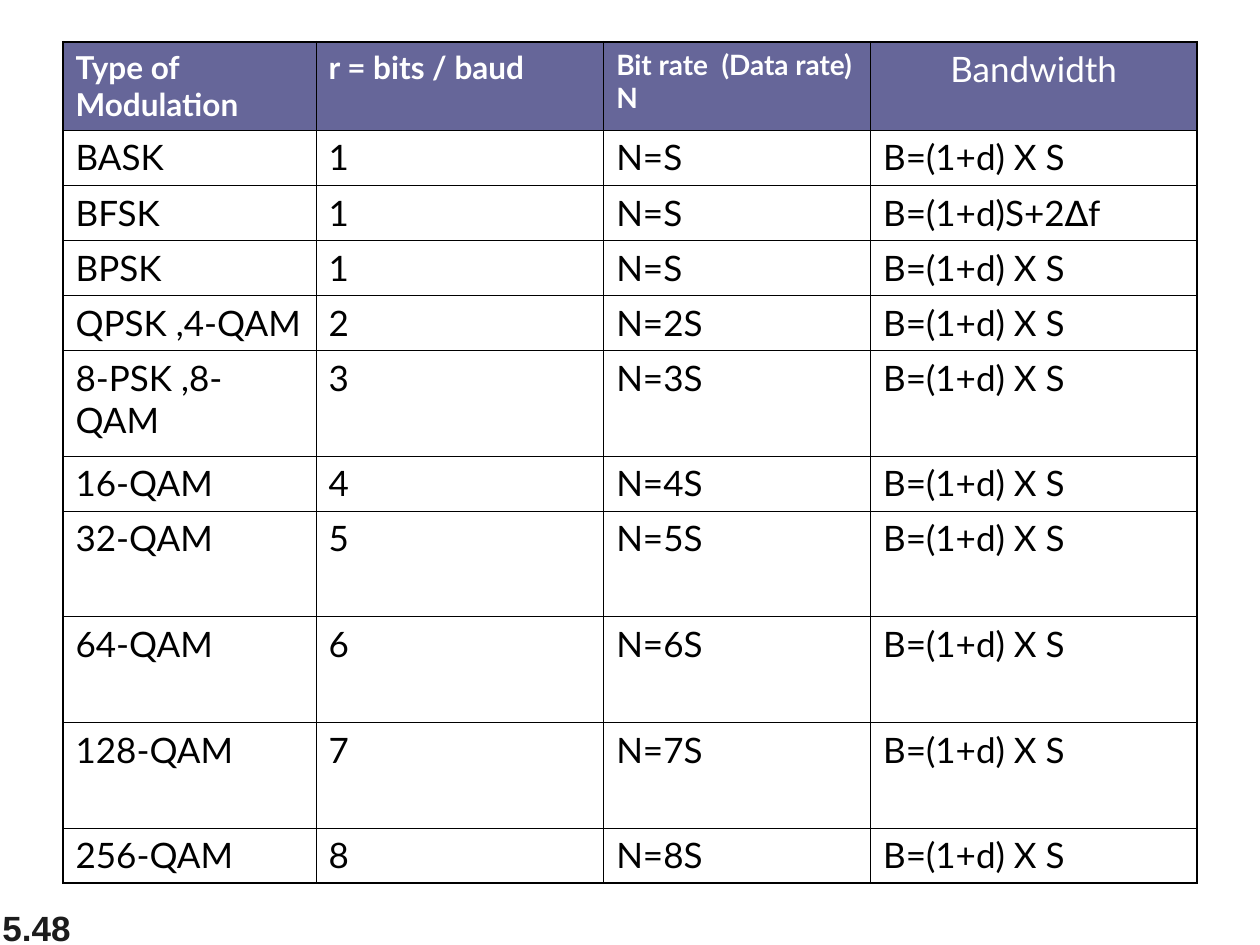
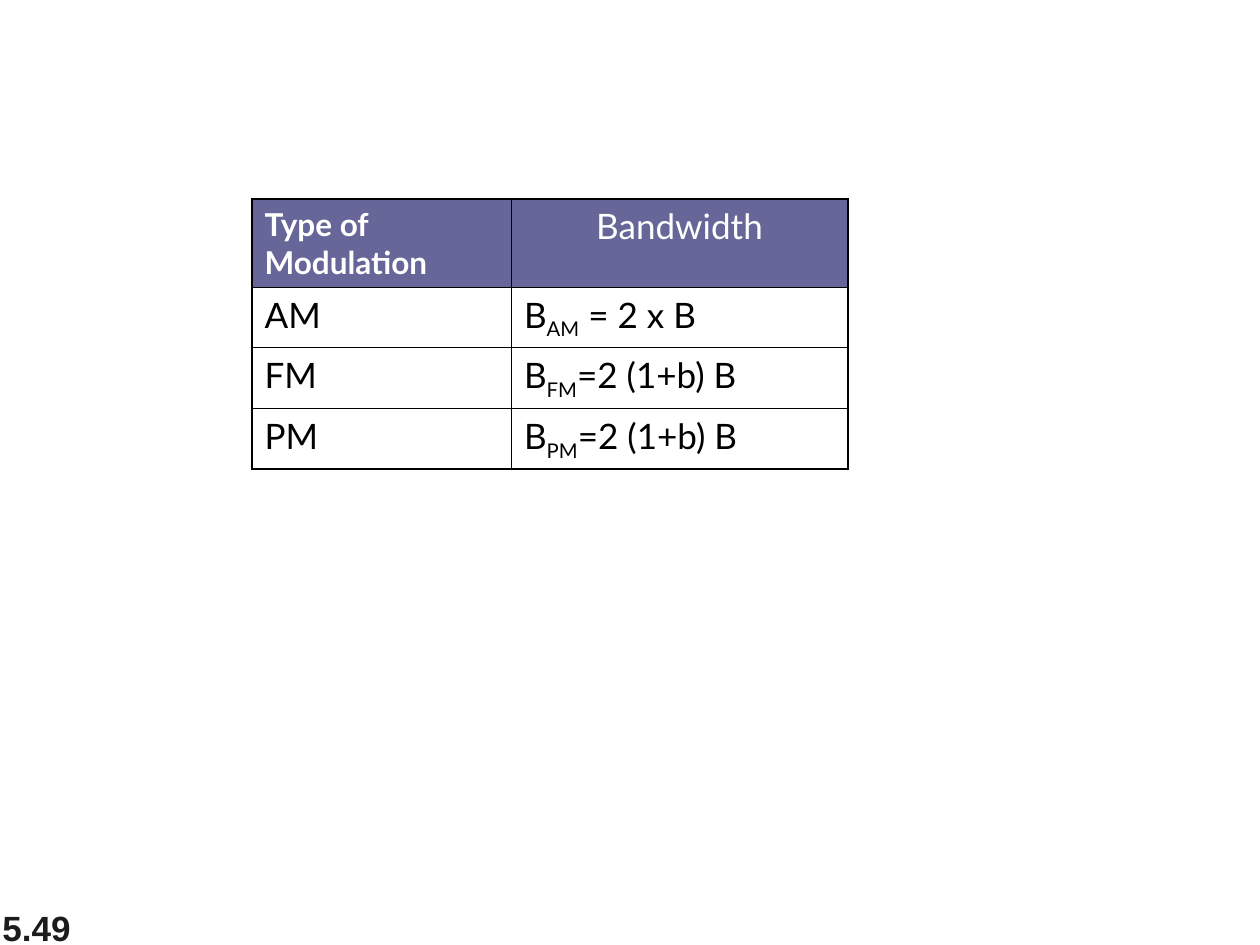
from lxml import etree
from pptx import Presentation
from pptx.dml.color import RGBColor
from pptx.enum.text import MSO_ANCHOR, PP_ALIGN
from pptx.oxml.ns import qn
from pptx.util import Cm, Pt

HEADER_FILL = RGBColor(0x66, 0x66, 0x99)
WHITE = RGBColor(0xFF, 0xFF, 0xFF)
BLACK = RGBColor(0x00, 0x00, 0x00)
NUMBER_GREY = RGBColor(0x1C, 0x1C, 0x1C)
INNER, OUTER = Pt(0.45), Pt(1.08)
HEADER_HEIGHT = 1.78


def write(tf, text, size=20, color=BLACK, bold=False, font="Lato", align=PP_ALIGN.LEFT):
    """Fill the first paragraph; text between underscores becomes a subscript."""
    p = tf.paragraphs[0]
    p.alignment = align
    for i, part in enumerate(text.split("_")):
        r = p.add_run()
        r.text = part
        r.font.name, r.font.size, r.font.bold = font, Pt(size), bold
        r.font.color.rgb = color
        if i % 2:
            r.font._element.set("baseline", "-25000")


def set_borders(cell, **widths):
    tc_pr = cell._tc.get_or_add_tcPr()
    for side, width in widths.items():
        ln = etree.SubElement(tc_pr, qn(f"a:ln{side}"), w=str(int(width)))
        fill = etree.SubElement(ln, qn("a:solidFill"))
        etree.SubElement(fill, qn("a:srgbClr"), val=str(BLACK))


# Header cells: text and format
TYPE = ("Type of Modulation", dict(size=18, bold=True))
BITS = ("r = bits / baud", dict(size=18, bold=True))
BIT_RATE = ("Bit rate  (Data rate) N", dict(size=16, bold=True))
BANDWIDTH = ("Bandwidth", dict(align=PP_ALIGN.CENTER))

# Digital modulations: name, bits per baud, row height in cm
LOW, HIGH = 1.11, 2.13
digital = [
    ("BASK", 1, LOW), ("BFSK", 1, LOW), ("BPSK", 1, LOW), ("QPSK ,4-QAM", 2, LOW),
    ("8-PSK ,8-QAM", 3, HIGH), ("16-QAM", 4, LOW), ("32-QAM", 5, HIGH),
    ("64-QAM", 6, HIGH), ("128-QAM", 7, HIGH), ("256-QAM", 8, LOW),
]
digital_rows = []
for name, bits, _ in digital:
    rate = "N=S" if bits == 1 else f"N={bits}S"
    band = "B=(1+d)S+2∆f" if name == "BFSK" else "B=(1+d) X S"
    digital_rows.append((name, str(bits), rate, band))

analog_rows = [
    ("AM", "B_AM_ = 2 x B"),
    ("FM", "B_FM_=2 (1+b) B"),
    ("PM", "B_PM_=2 (1+b) B"),
]

# Slide number, table corner, column widths, body row heights, header, body
slides = [
    ("5.48", (1.27, 0.84), (5.1, 5.8, 5.38, 6.58), [h for _, _, h in digital],
     (TYPE, BITS, BIT_RATE, BANDWIDTH), digital_rows),
    ("5.49", (5.08, 4.01), (5.23, 6.78), [1.22] * len(analog_rows),
     (TYPE, BANDWIDTH), analog_rows),
]

prs = Presentation()
prs.slide_width, prs.slide_height = Cm(25.4), Cm(19.05)

for number, (left, top), widths, body_heights, header, body in slides:
    s = prs.slides.add_slide(prs.slide_layouts[6])

    tf = s.shapes.add_textbox(Cm(-0.2), Cm(17.98), Cm(5.28), Cm(1.27)).text_frame
    tf.word_wrap = True
    tf.vertical_anchor = MSO_ANCHOR.BOTTOM
    write(tf, number, color=NUMBER_GREY, bold=True, font="Arial")

    heights = [HEADER_HEIGHT, *body_heights]
    last_row, last_col = len(heights) - 1, len(widths) - 1
    table = s.shapes.add_table(len(heights), len(widths), Cm(left), Cm(top),
                               Cm(sum(widths)), Cm(sum(heights))).table
    table.first_row = table.horz_banding = False
    for column, width in zip(table.columns, widths):
        column.width = Cm(width)
    for row, height in zip(table.rows, heights):
        row.height = Cm(height)

    for i in range(last_row + 1):
        for j in range(last_col + 1):
            cell = table.cell(i, j)
            set_borders(cell,
                        L=OUTER if j == 0 else INNER,
                        R=OUTER if j == last_col else INNER,
                        T=OUTER if i == 0 else INNER,
                        B=OUTER if i == last_row else INNER)
            if i == 0:
                cell.fill.solid()
                cell.fill.fore_color.rgb = HEADER_FILL
                text, style = header[j]
                write(cell.text_frame, text, color=WHITE, **style)
            else:
                cell.fill.background()
                write(cell.text_frame, body[i - 1][j])

prs.save("out.pptx")
